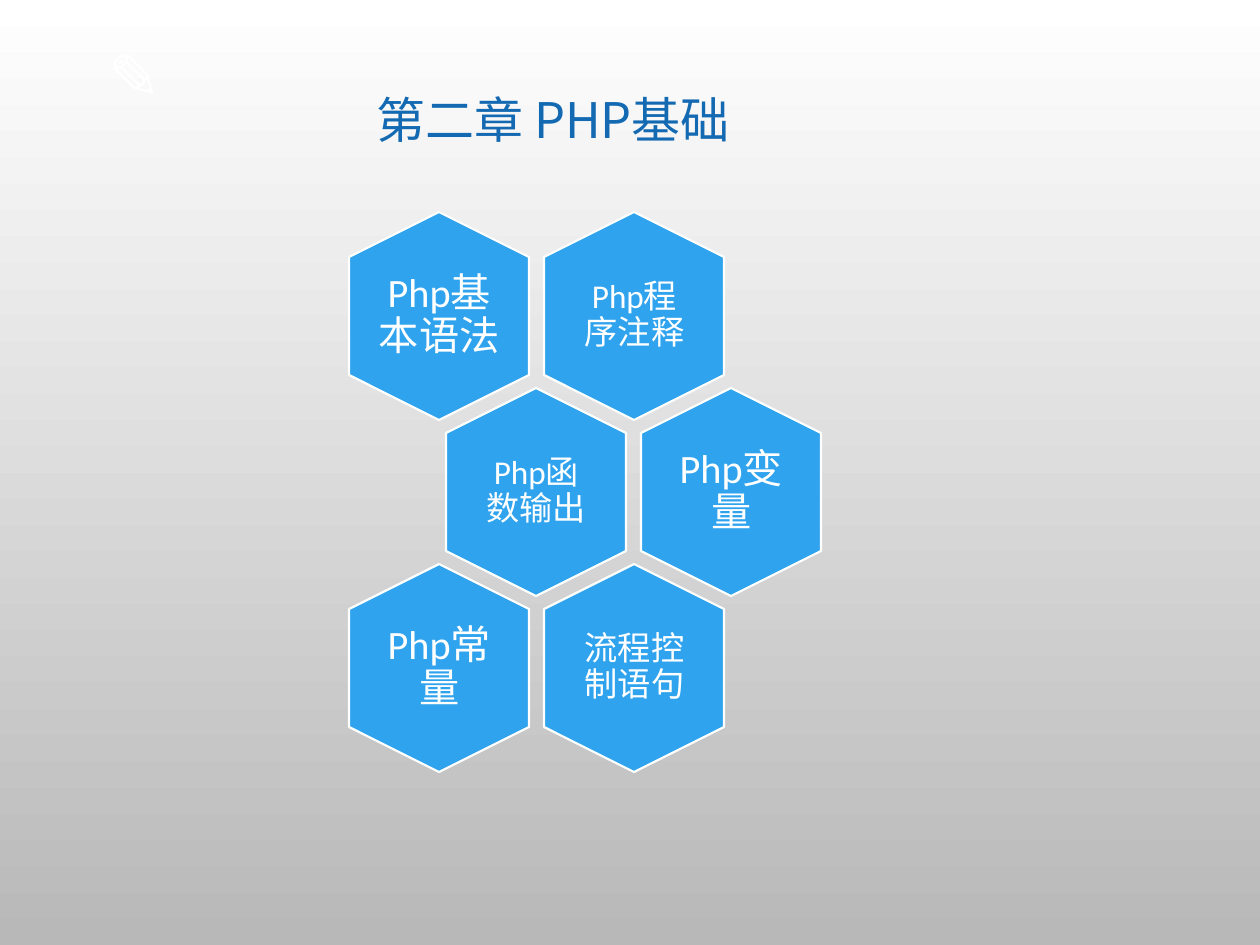
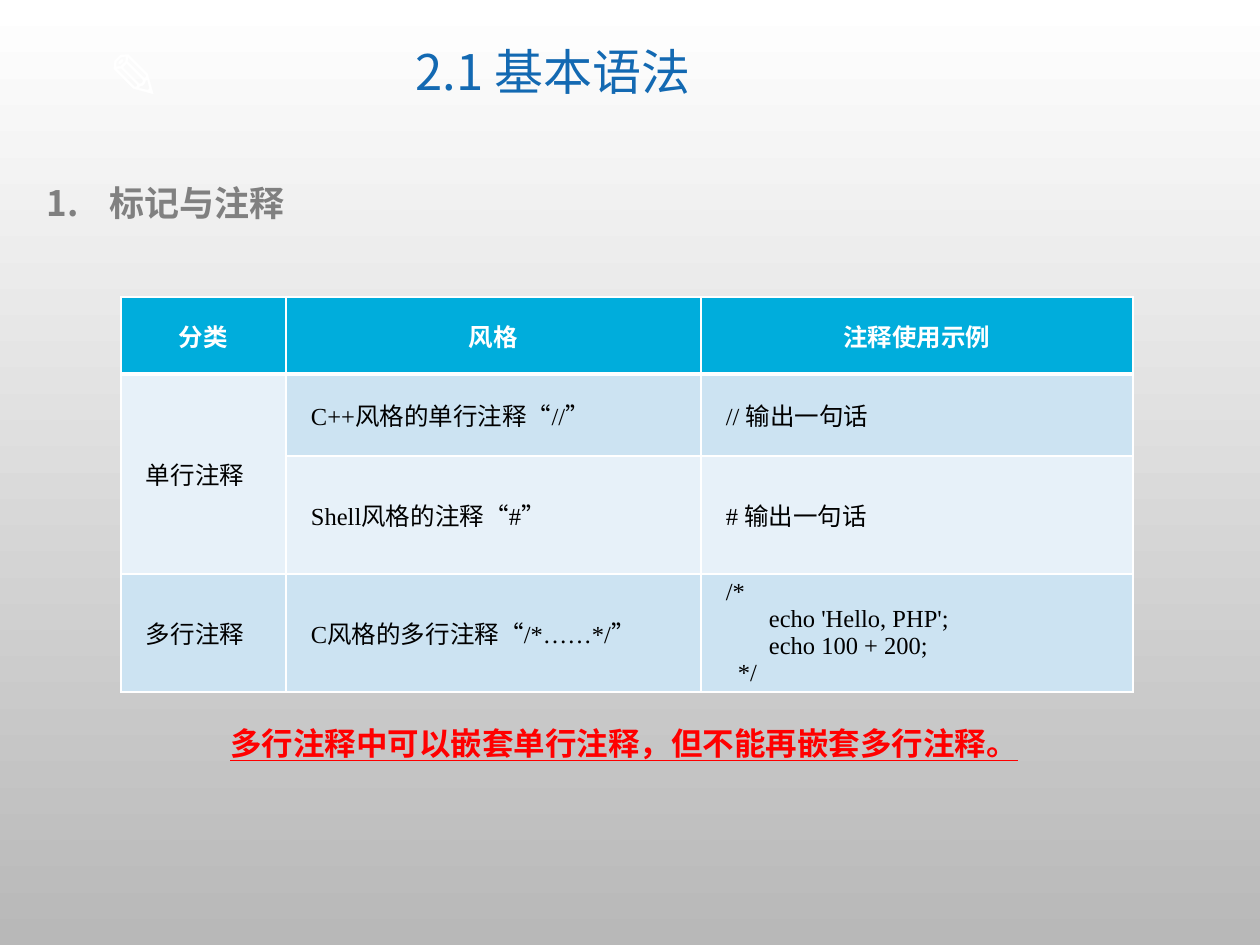
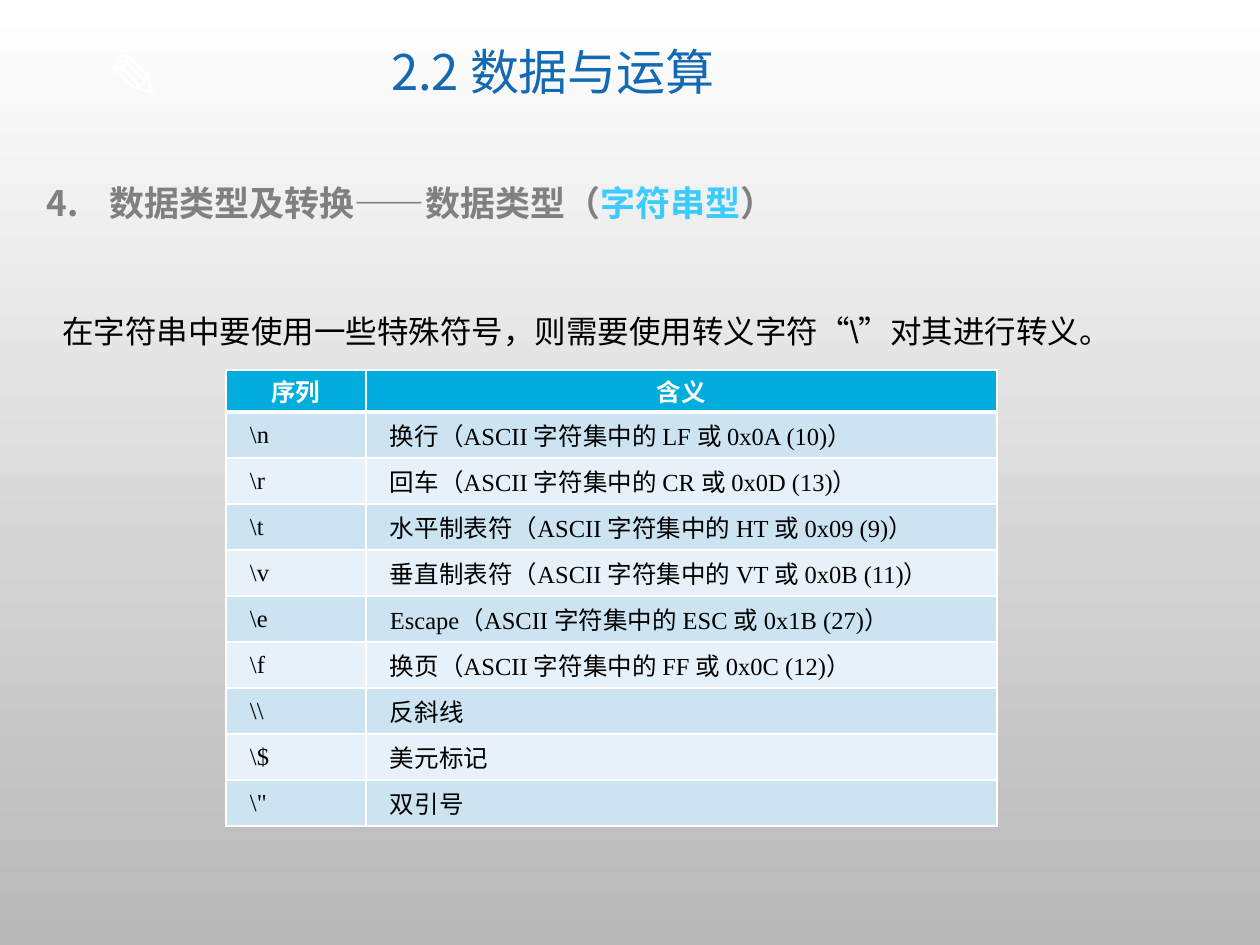
from lxml import etree
from pptx import Presentation
from pptx.dml.color import RGBColor
from pptx.enum.shapes import MSO_SHAPE
from pptx.enum.text import MSO_ANCHOR, MSO_AUTO_SIZE, PP_ALIGN
from pptx.oxml.ns import qn
from pptx.util import Pt

# Content
CHAPTER_TITLE = "第二章 PHP基础"
# Each row: horizontal shift in half steps, then (topic, text size, text inset)
TOPIC_ROWS = [
    (0, [("Php基本语法", 23, 0), ("Php程序注释", 19, 10)]),
    (1, [("Php函数输出", 19, 10), ("Php变量", 23, 0)]),
    (0, [("Php常量", 23, 0), ("流程控制语句", 19, 10)]),
]

SYNTAX_TITLE = "2.1 基本语法"
SYNTAX_HEADING = "标记与注释"
# A cell is a text, or a list of (extra indent, line)
COMMENT_ROWS = [
    ("分类", "风格", "注释使用示例"),
    ("单行注释", "C++风格的单行注释“//”", "// 输出一句话"),
    ("", "Shell风格的注释“#”", "# 输出一句话"),
    ("多行注释", "C风格的多行注释“/*……*/”",
     [(0, "/*"), (43, "echo 'Hello, PHP';"), (43, "echo 100 + 200;"), (12, "*/")]),
]
NESTING_NOTE = "多行注释中可以嵌套单行注释，但不能再嵌套多行注释。"

DATA_TITLE = "2.2 数据与运算"
DATA_HEADING = ("数据类型及转换——数据类型（", "字符串型", "）")
ESCAPE_INTRO = "在字符串中要使用一些特殊符号，则需要使用转义字符“\\”对其进行转义。"
ESCAPE_ROWS = [
    ("序列", "含义"),
    ("\\n", "换行（ASCII 字符集中的 LF 或 0x0A (10)）"),
    ("\\r", "回车（ASCII 字符集中的 CR 或 0x0D (13)）"),
    ("\\t", "水平制表符（ASCII 字符集中的 HT 或 0x09 (9)）"),
    ("\\v", "垂直制表符（ASCII 字符集中的 VT 或 0x0B (11)）"),
    ("\\e", "Escape（ASCII 字符集中的 ESC 或 0x1B (27)）"),
    ("\\f", "换页（ASCII 字符集中的 FF 或 0x0C (12)）"),
    ("\\\\", "反斜线"),
    ("\\$", "美元标记"),
    ("\\\"", "双引号"),
]

# Shared style
WHITE = RGBColor(0xFF, 0xFF, 0xFF)
BLACK = RGBColor(0, 0, 0)
BACKDROP_GRAY = RGBColor(0xB8, 0xB8, 0xB8)
TITLE_BLUE = RGBColor(0x13, 0x69, 0xB2)
HEADING_GRAY = RGBColor(0x80, 0x80, 0x80)
HIGHLIGHT = RGBColor(0x3B, 0xCC, 0xFF)
HEXAGON_BLUE = RGBColor(0x2F, 0xA3, 0xEE)
HEADER_BLUE = RGBColor(0x00, 0xAD, 0xDC)
BAND_DARK = RGBColor(0xCC, 0xE3, 0xF2)
BAND_LIGHT = RGBColor(0xE7, 0xF1, 0xF9)
NOTE_RED = RGBColor(0xFF, 0, 0)

CJK = "Noto Sans CJK SC"
LABEL_FONT = "Calibri"
TABLE_FONT = "Times New Roman"
TEXT_FONT = "Arial"

HEXAGON = MSO_SHAPE.HEXAGON
CENTER, JUSTIFY = PP_ALIGN.CENTER, PP_ALIGN.JUSTIFY
MIDDLE = MSO_ANCHOR.MIDDLE
FIT_SHAPE = MSO_AUTO_SIZE.SHAPE_TO_FIT_TEXT

TITLE_AND_BODY, TITLE_ONLY = 1, 5
CELL_INDENT = 15


def px(length):
    return round(length * 914400 / 126)


def place(shape, left, top, width, height):
    shape.left, shape.top = px(left), px(top)
    shape.width, shape.height = px(width), px(height)


def add_run(paragraph, text, size, color, font=CJK, bold=False):
    run = paragraph.add_run()
    run.text = text
    run.font.size = Pt(size)
    run.font.bold = bold
    run.font.color.rgb = color
    run.font.name = font
    etree.SubElement(run._r.get_or_add_rPr(), qn("a:ea"), typeface=CJK)
    return run


def add_textbox(slide, left, top, width, height):
    box = slide.shapes.add_textbox(px(left), px(top), px(width), px(height))
    box.text_frame.word_wrap = True
    return box


def set_backdrop(master):
    fill = master.background.fill
    fill.gradient()
    fill.gradient_angle = 270
    for stop, color in zip(fill.gradient_stops, (WHITE, BACKDROP_GRAY)):
        stop.color.rgb = color


def add_master_pencil(master, slide):
    """Build the pencil sign on a slide, then move it to the master."""
    box = add_textbox(slide, 96, 30, 108, 89)
    box.text_frame.word_wrap = False
    box.text_frame.auto_size = FIT_SHAPE
    add_run(box.text_frame.paragraphs[0], "✎", 36, WHITE, bold=True)
    box.element.nvSpPr.cNvPr.set("id", "20")
    master.element.cSld.spTree.append(box.element)


def add_slide(presentation, layout, title, title_top):
    slide = presentation.slides.add_slide(presentation.slide_layouts[layout])
    shape = slide.shapes.title
    place(shape, 228, title_top, 650, 107)
    shape.text_frame.vertical_anchor = MIDDLE
    paragraph = shape.text_frame.paragraphs[0]
    paragraph.alignment = CENTER
    paragraph.line_spacing = 0.9
    add_run(paragraph, title, 28, TITLE_BLUE)
    return slide


def add_heading(slide, number, parts):
    """Fill the body placeholder with one numbered line of (text, colour) parts."""
    body = slide.placeholders[1]
    place(body, 34, 175, 1162, 55)
    paragraph = body.text_frame.paragraphs[0]
    paragraph.space_before = Pt(0)
    properties = paragraph._p.get_or_add_pPr()
    properties.set("marL", str(px(63)))
    properties.set("indent", str(-px(63)))
    etree.SubElement(properties, qn("a:buAutoNum"), type="arabicPeriod", startAt=str(number))
    for text, color in parts:
        add_run(paragraph, text, 20, color, bold=True)


def add_hexagon(slide, center_x, center_y, topic, size, inset):
    hexagon = slide.shapes.add_shape(
        HEXAGON, px(center_x - 104), px(center_y - 90), px(208), px(180))
    hexagon.rotation = 90
    hexagon.adjustments[0] = 0.25
    hexagon.shadow.inherit = False
    hexagon.fill.solid()
    hexagon.fill.fore_color.rgb = HEXAGON_BLUE
    hexagon.line.color.rgb = WHITE
    hexagon.line.width = Pt(1.25)

    frame = add_textbox(slide, center_x - 62, center_y - 71, 125, 142).text_frame
    frame.vertical_anchor = MIDDLE
    frame.margin_left = frame.margin_right = px(inset)
    frame.margin_top = frame.margin_bottom = px(inset)
    paragraph = frame.paragraphs[0]
    paragraph.alignment = CENTER
    paragraph.line_spacing = 0.9
    add_run(paragraph, topic, size, WHITE, LABEL_FONT)


def set_borders(cell, top, bottom):
    """Draw white borders; top and bottom are widths in points."""
    properties = cell._tc.get_or_add_tcPr()
    for side, width in (("L", 1), ("R", 1), ("T", top), ("B", bottom)):
        line = etree.SubElement(properties, qn(f"a:ln{side}"), w=str(Pt(width)))
        fill = etree.SubElement(line, qn("a:solidFill"))
        etree.SubElement(fill, qn("a:srgbClr"), val=str(WHITE))


def fill_cell(cell, content, row, margin):
    set_borders(cell, 3 if row == 1 else 1, 3 if row == 0 else 1)
    cell.fill.solid()
    cell.fill.fore_color.rgb = (
        HEADER_BLUE if row == 0 else BAND_DARK if row % 2 else BAND_LIGHT)
    cell.vertical_anchor = MIDDLE
    cell.margin_left = cell.margin_right = px(margin)
    cell.margin_top = cell.margin_bottom = 0
    if not content:
        return
    lines = [(0, content)] if isinstance(content, str) else content
    frame = cell.text_frame
    for index, (indent, text) in enumerate(lines):
        paragraph = frame.add_paragraph() if index else frame.paragraphs[0]
        if row == 0:
            paragraph.alignment = CENTER
            add_run(paragraph, text, 14, WHITE, LABEL_FONT, bold=True)
        else:
            paragraph.alignment = JUSTIFY
            paragraph._p.get_or_add_pPr().set("marL", str(px(CELL_INDENT + indent)))
            add_run(paragraph, text, 14, BLACK, TABLE_FONT)


def add_table(slide, left, top, widths, heights, rows, margin):
    table = slide.shapes.add_table(
        len(rows), len(widths), px(left), px(top), px(sum(widths)), px(sum(heights))).table
    table.first_row = table.horz_banding = False
    for column, width in zip(table.columns, widths):
        column.width = px(width)
    for row, height in zip(table.rows, heights):
        row.height = px(height)
    for row_index, contents in enumerate(rows):
        for column_index, content in enumerate(contents):
            fill_cell(table.cell(row_index, column_index), content, row_index, margin)
    return table


def build_chapter_slide(presentation):
    slide = add_slide(presentation, TITLE_ONLY, CHAPTER_TITLE, 69)
    step_x, step_y = 195, 176
    for row, (shift, topics) in enumerate(TOPIC_ROWS):
        for column, topic in enumerate(topics):
            center_x = 439 + column * step_x + shift * step_x // 2
            add_hexagon(slide, center_x, 316 + row * step_y, *topic)
    return slide


def build_syntax_slide(presentation):
    slide = add_slide(presentation, TITLE_AND_BODY, SYNTAX_TITLE, 21)
    add_heading(slide, 1, [(SYNTAX_HEADING, HEADING_GRAY)])
    table = add_table(slide, 121, 297, (165, 415, 432), (77, 82, 118, 118), COMMENT_ROWS, 10)
    single_line = table.cell(1, 0)
    single_line.merge(table.cell(2, 0))
    single_line.fill.fore_color.rgb = BAND_LIGHT
    note = add_textbox(slide, 218, 718, 845, 50)
    run = add_run(note.text_frame.paragraphs[0], NESTING_NOTE, 18, NOTE_RED, TEXT_FONT, bold=True)
    run.font.underline = True


def build_data_slide(presentation):
    slide = add_slide(presentation, TITLE_AND_BODY, DATA_TITLE, 21)
    add_heading(slide, 4, zip(DATA_HEADING, (HEADING_GRAY, HIGHLIGHT, HEADING_GRAY)))
    paragraph = add_textbox(slide, 50, 268, 1158, 89).text_frame.paragraphs[0]
    paragraph.line_spacing = 2.0
    add_run(paragraph, ESCAPE_INTRO, 18, BLACK, TEXT_FONT)
    heights = [42] + [46] * (len(ESCAPE_ROWS) - 1)
    add_table(slide, 226, 370, (140, 631), heights, ESCAPE_ROWS, 9)


def main():
    presentation = Presentation()
    presentation.slide_width, presentation.slide_height = px(1260), px(945)
    set_backdrop(presentation.slide_master)
    chapter_slide = build_chapter_slide(presentation)
    add_master_pencil(presentation.slide_master, chapter_slide)
    build_syntax_slide(presentation)
    build_data_slide(presentation)
    presentation.save("out.pptx")


if __name__ == "__main__":
    main()
